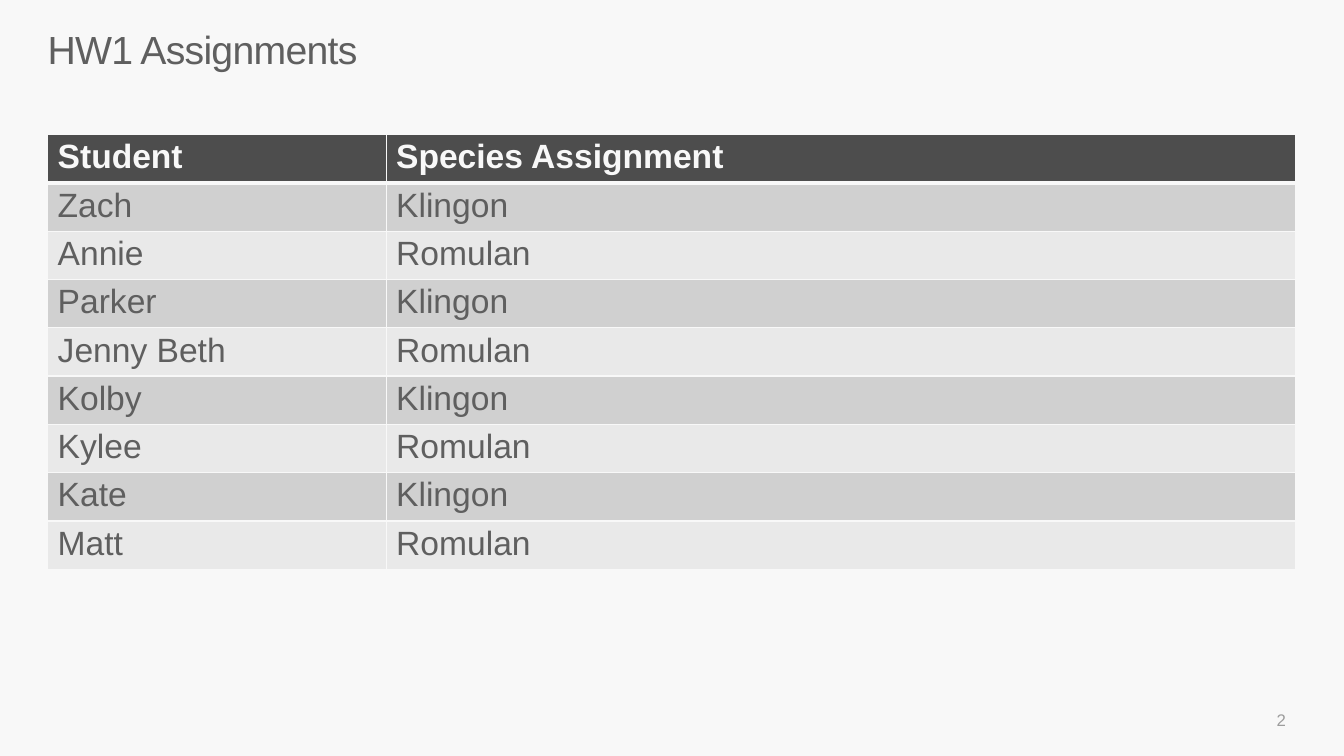
from lxml import etree
from pptx import Presentation
from pptx.dml.color import RGBColor
from pptx.enum.text import MSO_ANCHOR, PP_ALIGN
from pptx.oxml.ns import qn
from pptx.util import Cm, Pt

PAPER = RGBColor(0xF8, 0xF8, 0xF8)
TEXT = RGBColor(0x5F, 0x5F, 0x5F)
HEADER = RGBColor(0x4D, 0x4D, 0x4D)
BAND_DARK = RGBColor(0xD0, 0xD0, 0xD0)
BAND_LIGHT = RGBColor(0xE9, 0xE9, 0xE9)
NUMBER = RGBColor(0x9D, 0x9D, 0x9D)

TOP, MIDDLE = MSO_ANCHOR.TOP, MSO_ANCHOR.MIDDLE
LEFT, RIGHT = PP_ALIGN.LEFT, PP_ALIGN.RIGHT

FONT = "Arial"
MARGIN, CONTENT_WIDTH = 1.2, 31.46
COLUMN_WIDTHS = (8.53, 22.93)
ROW_HEIGHT = 1.2
COLUMN_HEADS = ("Student", "Species Assignment")
STUDENTS = ("Zach", "Annie", "Parker", "Jenny Beth",
            "Kolby", "Kylee", "Kate", "Matt")
SPECIES = ("Klingon", "Romulan")


def style_run(r, size, color, bold=False):
    r.font.name = FONT
    r.font.size = Pt(size)
    r.font.color.rgb = color
    r.font.bold = bold


def add_text(slide, box, text, size, color, align=LEFT, anchor=TOP, inset=0):
    """Add a one-line text box; box is left, top, width, height in cm."""
    tf = slide.shapes.add_textbox(*map(Cm, box)).text_frame
    tf.word_wrap = True
    tf.vertical_anchor = anchor
    tf.margin_left = tf.margin_right = Cm(inset)
    tf.margin_top = tf.margin_bottom = Cm(inset / 2)
    tf.text = text
    p = tf.paragraphs[0]
    p.alignment = align
    style_run(p.runs[0], size, color)
    return p


def add_title(slide, box, text):
    p = add_text(slide, box, text, 28, TEXT)
    p.line_spacing = 0.86
    p.runs[0].font._element.set("spc", "-50")


def set_borders(cell, is_header, below_header):
    """Rule the cell in the paper colour, thicker under the header row."""
    tc_pr = cell._tc.get_or_add_tcPr()
    widths = {"lnL": 1, "lnR": 1,
              "lnT": 3 if below_header else 1,
              "lnB": 3 if is_header else 1}
    for i, (tag, width) in enumerate(widths.items()):
        ln = etree.Element(qn(f"a:{tag}"), w=str(Pt(width)))
        fill = etree.SubElement(ln, qn("a:solidFill"))
        etree.SubElement(fill, qn("a:srgbClr"), val=str(PAPER))
        tc_pr.insert(i, ln)


def fill_cell(cell, text, row):
    is_header = row == 0
    cell.text = text
    cell.margin_top = cell.margin_bottom = Cm(0.1)
    cell.fill.solid()
    cell.fill.fore_color.rgb = (
        HEADER if is_header else BAND_DARK if row % 2 else BAND_LIGHT)
    style_run(cell.text_frame.paragraphs[0].runs[0], 24,
              PAPER if is_header else TEXT, is_header)
    set_borders(cell, is_header, row == 1)


def add_assignments(slide, box):
    rows = [COLUMN_HEADS] + [
        (student, SPECIES[i % len(SPECIES)])
        for i, student in enumerate(STUDENTS)]
    table = slide.shapes.add_table(
        len(rows), len(COLUMN_HEADS), *map(Cm, box)).table
    for column, width in zip(table.columns, COLUMN_WIDTHS):
        column.width = Cm(width)
    for i, row in enumerate(rows):
        table.rows[i].height = Cm(ROW_HEIGHT)
        for j, text in enumerate(row):
            fill_cell(table.cell(i, j), text, i)


def add_slide_number(slide, box, number):
    add_text(slide, box, number, 12, NUMBER, RIGHT, MIDDLE, 0.25)


def main():
    prs = Presentation()
    prs.slide_width, prs.slide_height = Cm(33.87), Cm(19.05)
    slide = prs.slides.add_slide(prs.slide_layouts[6])
    slide.background.fill.solid()
    slide.background.fill.fore_color.rgb = PAPER

    add_title(slide, (MARGIN, 0.8, CONTENT_WIDTH, 2.26), "HW1 Assignments")
    table_height = ROW_HEIGHT * (len(STUDENTS) + 1)
    add_assignments(slide, (MARGIN, 3.39, CONTENT_WIDTH, table_height))
    number_width = 7.62
    number_left = MARGIN + CONTENT_WIDTH - number_width
    add_slide_number(slide, (number_left, 17.63, number_width, 1.02), "2")
    prs.save("out.pptx")


if __name__ == "__main__":
    main()
